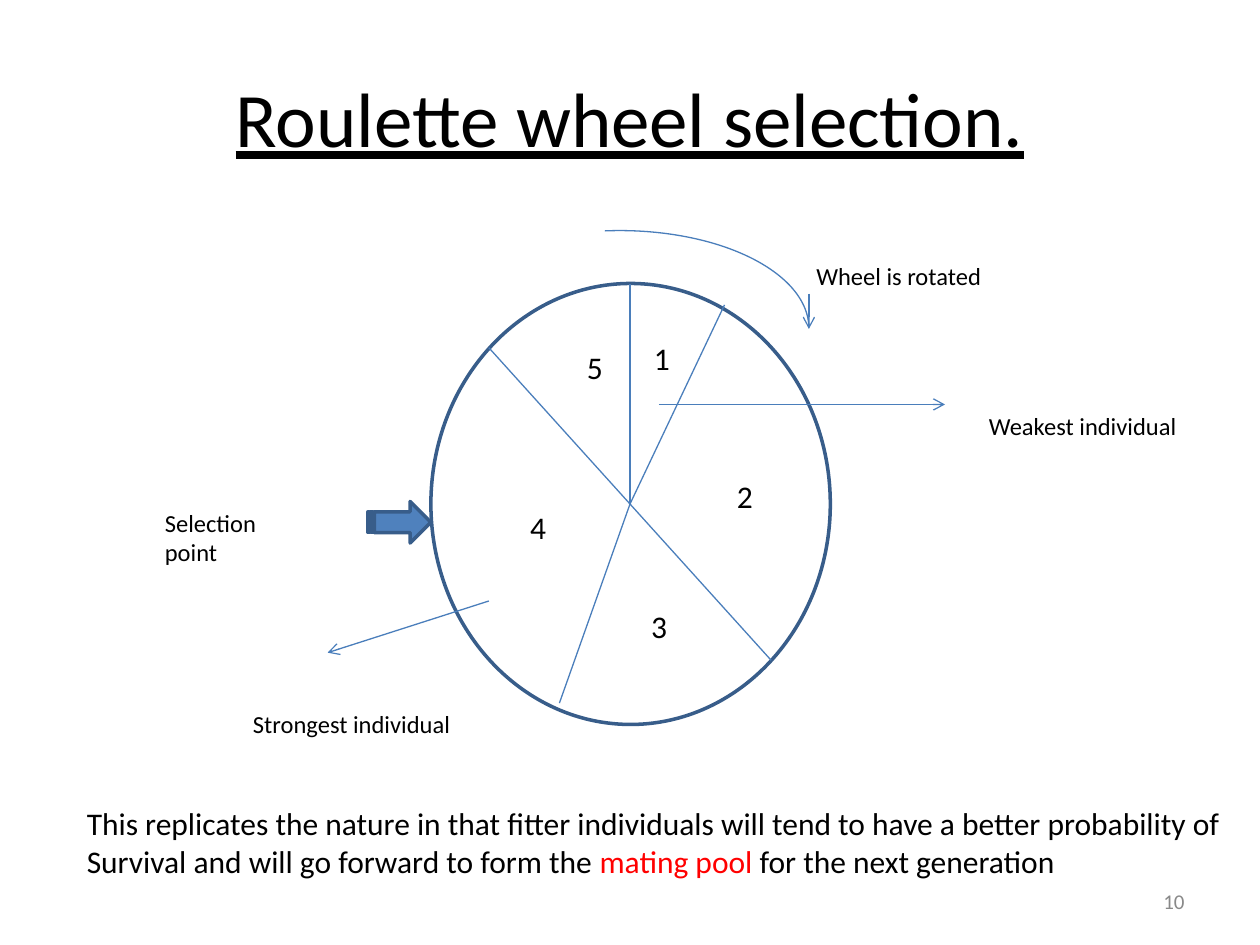
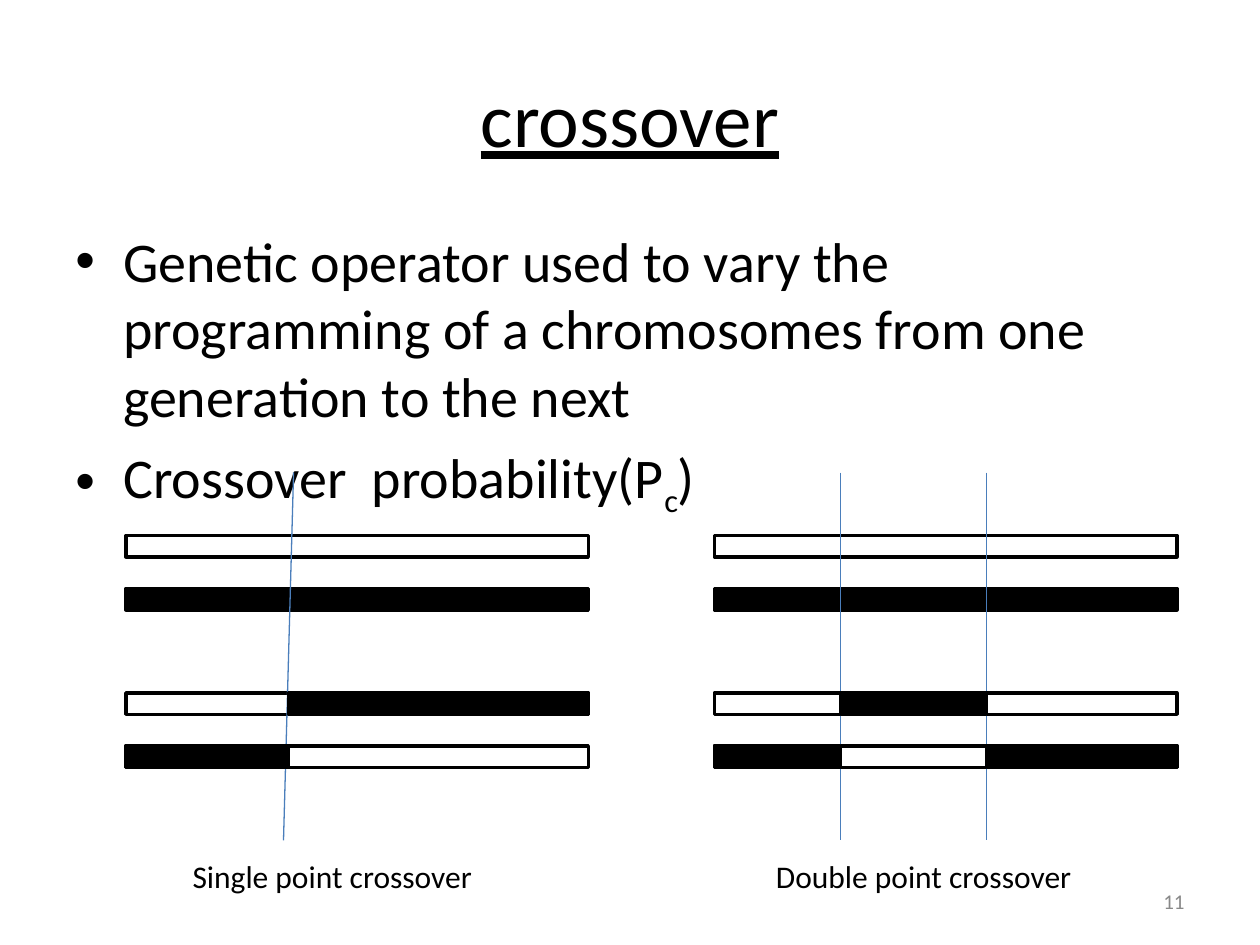
from pptx import Presentation
from pptx.dml.color import RGBColor
from pptx.enum.shapes import MSO_CONNECTOR, MSO_SHAPE as SHAPE
from pptx.enum.text import MSO_ANCHOR as ANCHOR, PP_ALIGN as ALIGN
from pptx.oxml.ns import qn
from pptx.util import Inches, Pt
from lxml.etree import SubElement

FONT = "Calibri"
COLORS = {"text": "000000", "accent": "FF0000", "number": "898989", "thin": "4A7EBB",
          "outline": "385D8A", "arrow": "4F81BD", "bar": "000000"}
rgb = {name: RGBColor.from_string(value) for name, value in COLORS.items()}

prs = Presentation()
prs.slide_width, prs.slide_height = Inches(10), Inches(7.5)
wheel_slide, crossover_slide = [prs.slides.add_slide(prs.slide_layouts[6]) for _ in range(2)]


def add_text(slide, box, paragraphs, size, color="text", align=ALIGN.LEFT,
             anchor=ANCHOR.TOP, wrap=False, underline=None, bullets=False):
    """Each paragraph is a list of (text, changes) runs."""
    frame = slide.shapes.add_textbox(*map(Inches, box)).text_frame
    frame.word_wrap, frame.vertical_anchor = wrap, anchor
    for i, runs in enumerate(paragraphs):
        paragraph = frame.add_paragraph() if i else frame.paragraphs[0]
        paragraph.alignment = align
        if bullets:
            props = paragraph._p.get_or_add_pPr()
            props.set("marL", str(Inches(0.38)))
            props.set("indent", str(-Inches(0.38)))
            if i:
                paragraph.space_before = Pt(8)
            SubElement(props, qn("a:buFont")).set("typeface", "Arial")
            SubElement(props, qn("a:buChar")).set("char", "•")
        for text, changes in runs:
            run = paragraph.add_run()
            run.text = text
            run.font.name, run.font.size, run.font.underline = FONT, Pt(size), underline
            run.font.color.rgb = rgb[changes.get("color", color)]
            if "baseline" in changes:
                run.font._element.set("baseline", changes["baseline"])


def add_line(slide, start, end, arrow=False):
    line = slide.shapes.add_connector(MSO_CONNECTOR.STRAIGHT, *map(Inches, start + end))
    line.line.color.rgb, line.line.width = rgb["thin"], Pt(0.75)
    if arrow:
        SubElement(line.line._get_or_add_ln(), qn("a:tailEnd")).set("type", "arrow")
    SubElement(line._element.spPr, qn("a:effectLst"))


# Titles and slide numbers
for slide, title, number in [(wheel_slide, "Roulette wheel selection.", "10"),
                             (crossover_slide, "crossover", "11")]:
    add_text(slide, (0.5, 0.3, 9, 1.25), [[(title, {})]], 44, align=ALIGN.CENTER,
             anchor=ANCHOR.MIDDLE, wrap=True, underline=True)
    add_text(slide, (7.17, 6.95, 2.33, 0.4), [[(number, {})]], 12, "number",
             ALIGN.RIGHT, ANCHOR.MIDDLE, wrap=True)

# Wheel, selection arrow and rotation arc
wheel_parts = [
    (SHAPE.OVAL, (3.42, 2.25, 3.17, 3.5), None, "outline", 2),
    (SHAPE.STRIPED_RIGHT_ARROW, (2.92, 3.98, 0.5, 0.33), "arrow", "outline", 2),
    (SHAPE.ARC, (3.42, 1.83, 3, 1.55), None, "thin", 0.75),
]
for kind, box, fill, outline, width in wheel_parts:
    part = wheel_slide.shapes.add_shape(kind, *map(Inches, box))
    part.shadow.inherit = False
    if fill:
        part.fill.solid()
        part.fill.fore_color.rgb = rgb[fill]
    else:
        part.fill.background()
    part.line.color.rgb, part.line.width = rgb[outline], Pt(width)
    if kind == SHAPE.ARC:
        part.adjustments[0] = 261.2 * 0.6  # start angle in degrees, scaled to the shape's units

# Spokes and pointers
hub = (5, 4)
for rim in [(5, 2.25), (5.75, 2.42), (6.12, 5.24), (4.44, 5.58), (3.88, 2.76)]:
    add_line(wheel_slide, hub, rim)
for start, end in [((6.42, 2.33), (6.42, 2.61)), ((5.23, 3.21), (7.5, 3.21)),
                   ((3.88, 4.77), (2.6, 5.18))]:
    add_line(wheel_slide, start, end, arrow=True)

# Sector numbers and labels
sectors = [(5.09, 2.64), (5.75, 3.74), (5.07, 4.77), (4.11, 3.98), (4.56, 2.71)]
for sector, (left, top) in enumerate(sectors, 1):
    add_text(wheel_slide, (left, top, 0.32, 0.4), [[(str(sector), {})]], 18)
for label, left, top, width in [("Wheel is rotated", 6.38, 2.02, 1.52),
                                ("Selection point", 1.21, 3.98, 1.38),
                                ("Weakest individual", 7.75, 3.21, 1.7),
                                ("Strongest individual", 1.91, 5.58, 1.77)]:
    add_text(wheel_slide, (left, top, width, 0.34), [[(label, {})]], 14)

# Conclusion
add_text(wheel_slide, (0.59, 6.33, 9.29, 0.7), [
    [("This replicates the nature in that fitter individuals will tend to have "
      "a better probability of", {})],
    [("Survival and will go forward to form the ", {}),
     ("mating pool ", {"color": "accent"}),
     ("for the next generation", {})],
], 18)

# Crossover definition
add_text(crossover_slide, (0.5, 1.75, 9, 4.95), [
    [("Genetic operator used to vary the programming of a chromosomes "
      "from one generation to the next", {})],
    [("Crossover  probability(P", {}), ("c", {"baseline": "-25000"}), (")", {})],
], 32, wrap=True, bullets=True)

# Chromosome bars: two parents above two children with swapped segments
BAR_WIDTH, BAR_HEIGHT = 3.67, 0.17
WHITE_PARENT, BLACK_PARENT, FIRST_CHILD, SECOND_CHILD = 4.25, 4.67, 5.5, 5.92
CUT_TOP, CUT_BOTTOM = 3.75, 6.67
panels = [  # left edge, segment borders, cut lines as (top x, bottom x), caption
    (1, [2.29], [(2.33, 2.25)], ("Single point crossover", 1.43, 2.43)),
    (5.67, [6.67, 7.83], [(6.67, 6.67), (7.83, 7.83)], ("Double point crossover", 6.06, 2.55)),
]
for left, borders, cuts, (caption, caption_left, caption_width) in panels:
    bars = [(left, top, BAR_WIDTH, top == BLACK_PARENT)
            for top in (WHITE_PARENT, BLACK_PARENT, FIRST_CHILD, SECOND_CHILD)]
    edges = [left, *borders, left + BAR_WIDTH]
    segments = [(start, FIRST_CHILD if i % 2 else SECOND_CHILD, end - start, True)
                for i, (start, end) in enumerate(zip(edges, edges[1:]))]
    for i, (bar_left, top, width, black) in enumerate(bars + segments):
        if i == len(bars):  # cut lines lie between whole bars and swapped segments
            for cut_top, cut_bottom in cuts:
                add_line(crossover_slide, (cut_top, CUT_TOP), (cut_bottom, CUT_BOTTOM))
        bar = crossover_slide.shapes.add_shape(
            SHAPE.RECTANGLE, *map(Inches, (bar_left, top, width, BAR_HEIGHT)))
        bar.shadow.inherit = False
        if black:
            bar.fill.solid()
            bar.fill.fore_color.rgb = rgb["bar"]
        else:
            bar.fill.background()
        bar.line.color.rgb, bar.line.width = rgb["bar"], Pt(2)
    add_text(crossover_slide, (caption_left, 6.75, caption_width, 0.4), [[(caption, {})]], 18)

prs.save("out.pptx")
